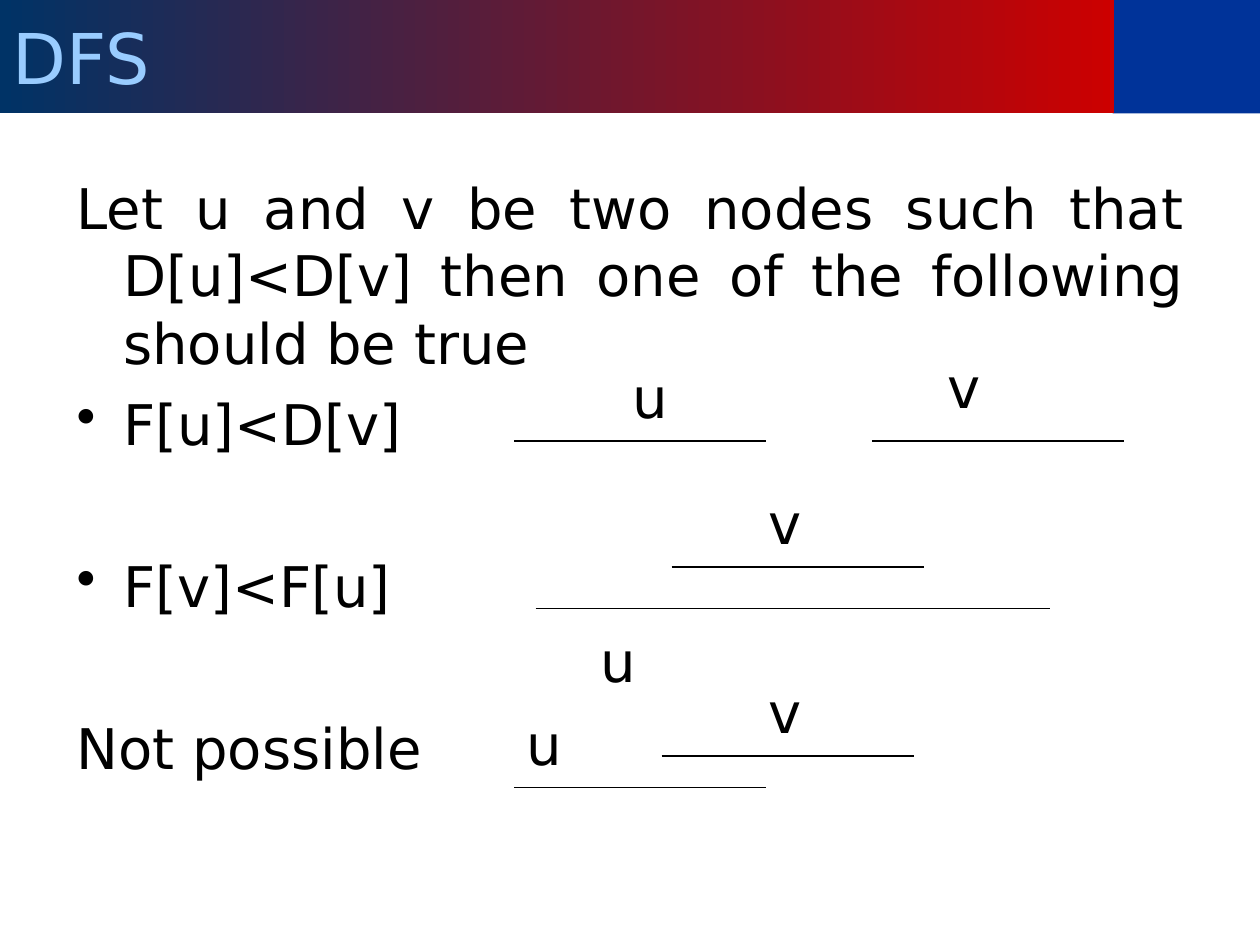
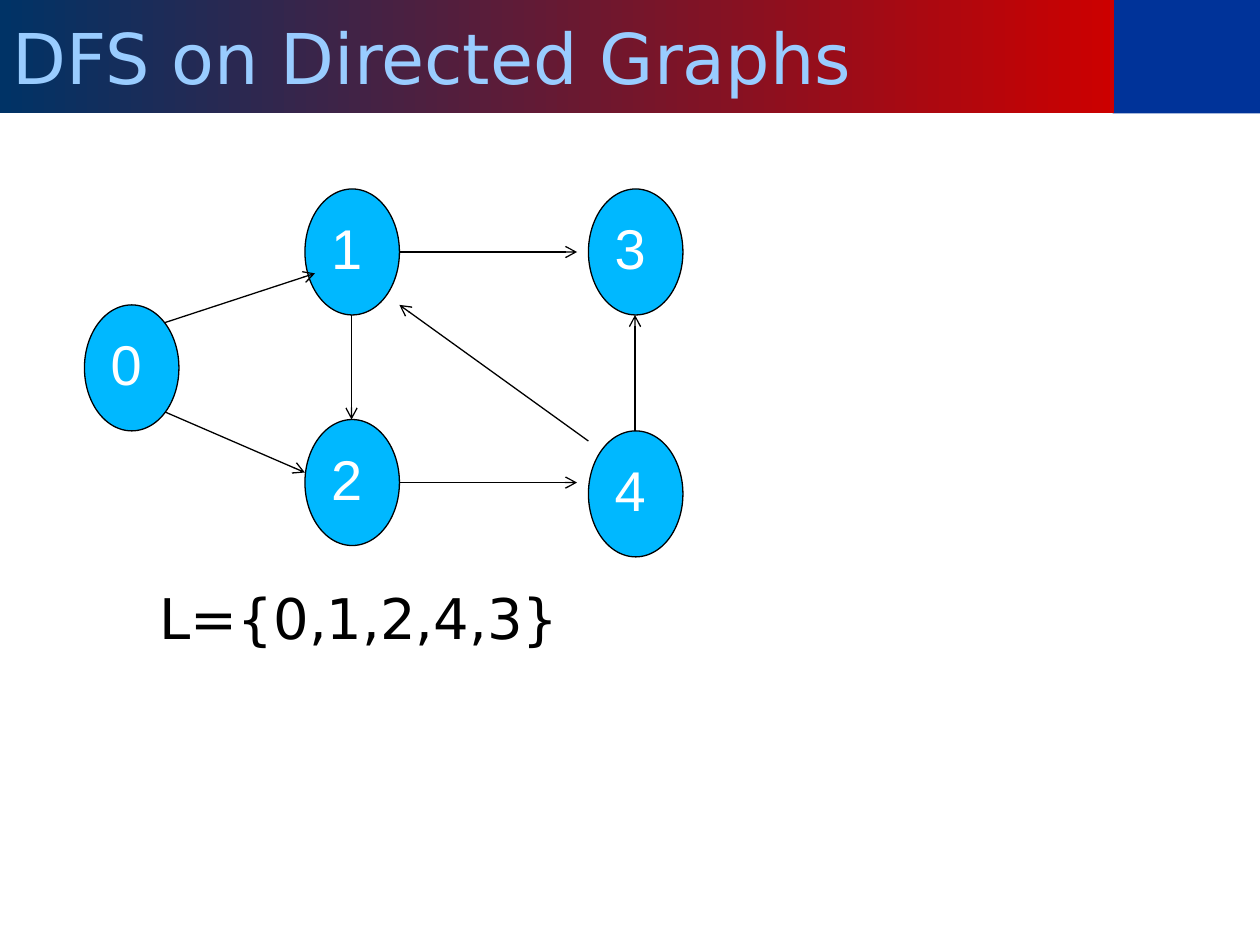
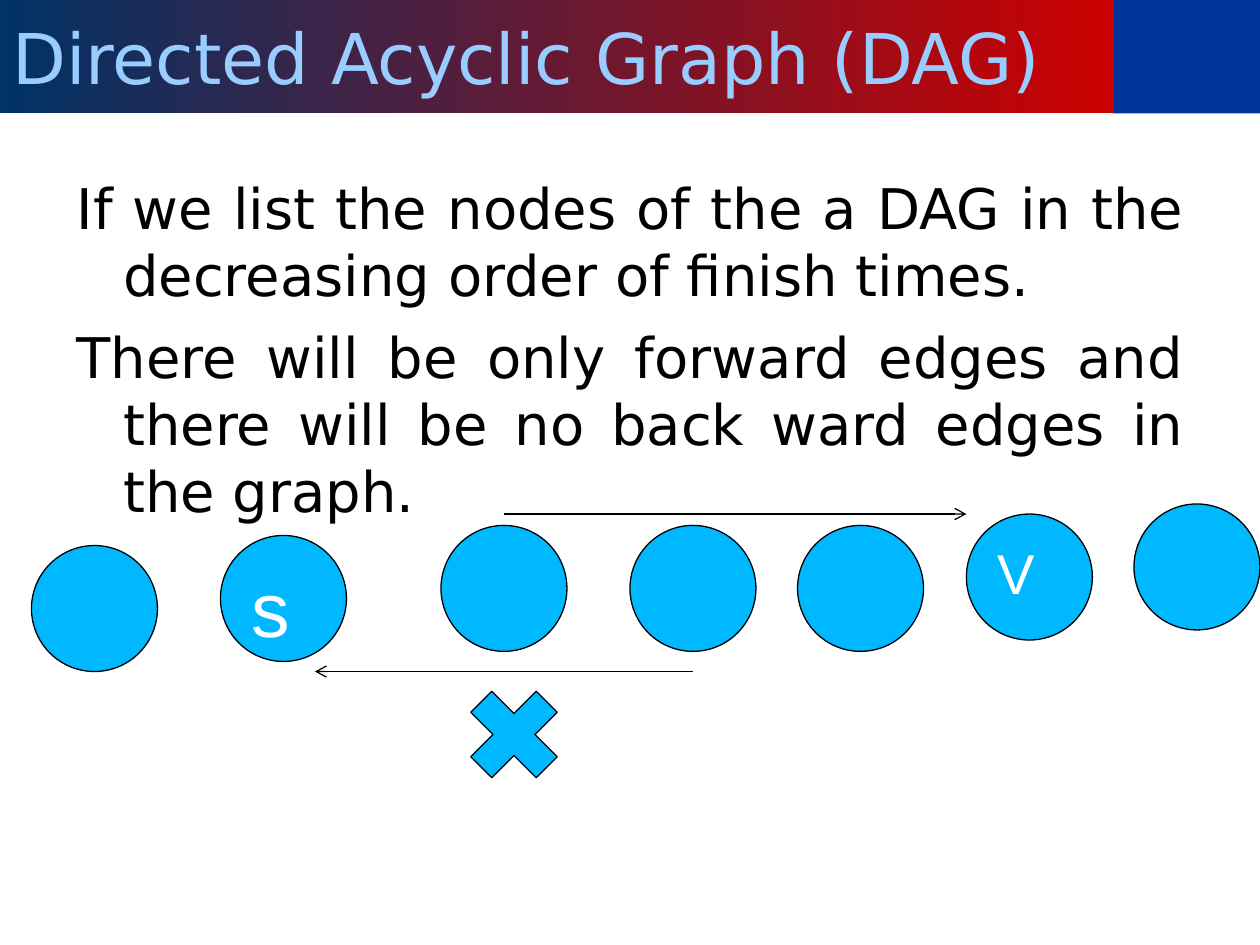
from lxml import etree
from pptx import Presentation
from pptx import util as u
from pptx.dml.color import RGBColor
from pptx.enum import shapes, text
from pptx.oxml import ns

NAVY = RGBColor(0x00, 0x33, 0x66)
RED = RGBColor(0xCC, 0x00, 0x00)
BLUE = RGBColor(0x00, 0x33, 0x99)
SKY = RGBColor(0x99, 0xCC, 0xFF)
CYAN = RGBColor(0x00, 0xB8, 0xFF)
BLACK = RGBColor(0, 0, 0)
WHITE = RGBColor(0xFF, 0xFF, 0xFF)
BODY_FONT = "DejaVu Sans"
NODE_FONT = "Arial"
RECTANGLE = shapes.MSO_SHAPE.RECTANGLE
OVAL = shapes.MSO_SHAPE.OVAL
CROSS = shapes.MSO_SHAPE.MATH_MULTIPLY
STRAIGHT = shapes.MSO_CONNECTOR.STRAIGHT
CURVE = shapes.MSO_CONNECTOR.CURVE


def style_paragraph(paragraph, content, size, font_name, color, alignment=text.PP_ALIGN.LEFT):
    paragraph.text = content
    paragraph.alignment = alignment
    paragraph.font.size = u.Pt(size)
    paragraph.font.name = font_name
    paragraph.font.color.rgb = color


def add_shape(slide, kind, left, top, width, height):
    shape = slide.shapes.add_shape(kind, u.Inches(left), u.Inches(top), u.Inches(width), u.Inches(height))
    shape.shadow.inherit = False
    return shape


presentation = Presentation()
presentation.slide_width = u.Inches(10)
presentation.slide_height = u.Inches(7.5)

slides = []
for title in ["DFS", "DFS on Directed Graphs", "Directed Acyclic Graph (DAG)"]:
    slide = presentation.slides.add_slide(presentation.slide_layouts[6])
    slides.append(slide)
    corner = add_shape(slide, RECTANGLE, 8.83, 0, 1.17, 0.9)
    corner.fill.solid()
    corner.fill.fore_color.rgb = BLUE
    corner.line.fill.background()
    band = add_shape(slide, RECTANGLE, 0, 0, 8.84, 0.9)
    band.fill.gradient()
    band.fill.gradient_angle = 0
    for stop, color in zip(band.fill.gradient_stops, [NAVY, RED]):
        stop.color.rgb = color
    band.line.fill.background()
    style_paragraph(band.text_frame.paragraphs[0], title, 40, BODY_FONT, SKY)

relations, graph, dag = slides

bodies = [
    (relations, [
        ("Let u and v be two nodes such that D[u]<D[v] then one of the following should be true", False, 8),
        ("F[u]<D[v]", True, 8),
        ("F[v]<F[u]", True, 54.3),
        ("Not possible", False, 54.3),
    ]),
    (dag, [
        ("If we list the nodes of the a DAG in the decreasing order of finish times.", False, 8),
        ("There will be only forward edges and there will be no back ward edges in the graph.", False, 8),
    ]),
]
for slide, entries in bodies:
    box = slide.shapes.add_textbox(u.Inches(0.5), u.Inches(1.33), u.Inches(9), u.Inches(5.37))
    frame = box.text_frame
    frame.word_wrap = True
    for index, (content, bulleted, space) in enumerate(entries):
        paragraph = frame.add_paragraph() if index else frame.paragraphs[0]
        paragraph.space_before = u.Pt(space)
        properties = paragraph._p.get_or_add_pPr()
        properties.set("marL", str(u.Inches(0.38)))
        properties.set("indent", str(u.Inches(-0.37)))
        if bulleted:
            etree.SubElement(properties, ns.qn("a:buChar"), char="•")
        style_paragraph(paragraph, content, 32, BODY_FONT, BLACK, text.PP_ALIGN.JUSTIFY)

labels = [
    (relations, "u", 4.92, 2.83, 0.8),
    (relations, "v", 7.42, 2.75, 0.8),
    (relations, "v", 6, 3.83, 0.8),
    (relations, "u", 4.67, 4.92, 0.8),
    (relations, "v", 6, 5.33, 0.8),
    (relations, "u", 4.08, 5.58, 0.8),
    (graph, "L={0,1,2,4,3}", 1.17, 4.58, 3.47),
]
for slide, content, left, top, width in labels:
    label = slide.shapes.add_textbox(u.Inches(left), u.Inches(top), u.Inches(width), u.Inches(0.64))
    label.text_frame.word_wrap = slide is relations
    style_paragraph(label.text_frame.paragraphs[0], content, 32, BODY_FONT, BLACK)

nodes = [
    (graph, OVAL, "0", 32, 0.67, 2.42, 0.75),
    (graph, OVAL, "1", 32, 2.42, 1.5, 0.75),
    (graph, OVAL, "2", 32, 2.42, 3.33, 0.75),
    (graph, OVAL, "3", 32, 4.67, 1.5, 0.75),
    (graph, OVAL, "4", 32, 4.67, 3.42, 0.75),
    (dag, OVAL, "", 32, 0.25, 4.33, 1),
    (dag, OVAL, "s", 44, 1.75, 4.25, 1),
    (dag, OVAL, "", 32, 3.5, 4.17, 1),
    (dag, OVAL, "", 32, 5, 4.17, 1),
    (dag, OVAL, "", 32, 6.33, 4.17, 1),
    (dag, OVAL, "V", 32, 7.67, 4.08, 1),
    (dag, OVAL, "", 32, 9, 4, 1),
    (dag, CROSS, "", 32, 3.58, 5.33, 1),
]
for slide, kind, name, size, left, top, width in nodes:
    node = add_shape(slide, kind, left, top, width, 1)
    node.fill.solid()
    node.fill.fore_color.rgb = CYAN
    node.line.color.rgb = BLACK
    node.line.width = u.Pt(0.75)
    if name:
        node.text_frame.vertical_anchor = text.MSO_ANCHOR.TOP
        style_paragraph(node.text_frame.paragraphs[0], name, size, NODE_FONT, WHITE)

lines = [
    (relations, STRAIGHT, 4.08, 3.5, 6.08, 3.5),
    (relations, STRAIGHT, 6.92, 3.5, 8.92, 3.5),
    (relations, STRAIGHT, 5.33, 4.5, 7.33, 4.5),
    (relations, STRAIGHT, 4.25, 4.83, 8.33, 4.83),
    (relations, STRAIGHT, 5.25, 6, 7.25, 6),
    (relations, STRAIGHT, 4.08, 6.25, 6.08, 6.25),
    (graph, STRAIGHT, 1.31, 2.56, 2.5, 2.17),
    (graph, STRAIGHT, 1.31, 3.27, 2.42, 3.75),
    (graph, STRAIGHT, 2.79, 2.5, 2.79, 3.33),
    (graph, STRAIGHT, 3.17, 2, 4.58, 2),
    (graph, STRAIGHT, 3.17, 3.83, 4.58, 3.83),
    (graph, STRAIGHT, 5.04, 3.42, 5.04, 2.5),
    (graph, STRAIGHT, 4.67, 3.5, 3.17, 2.42),
    (dag, CURVE, 4, 4.08, 7.67, 4.08),
    (dag, CURVE, 5.5, 5.33, 2.5, 5.33),
]
for slide, kind, *ends in lines:
    line = slide.shapes.add_connector(kind, *[u.Inches(end) for end in ends])
    line.line.color.rgb = BLACK
    line.line.width = u.Pt(0.75)
    if slide is not relations:
        etree.SubElement(line.line._get_or_add_ln(), ns.qn("a:tailEnd"), type="arrow")
    etree.SubElement(line._element.spPr, ns.qn("a:effectLst"))

presentation.save("out.pptx")
